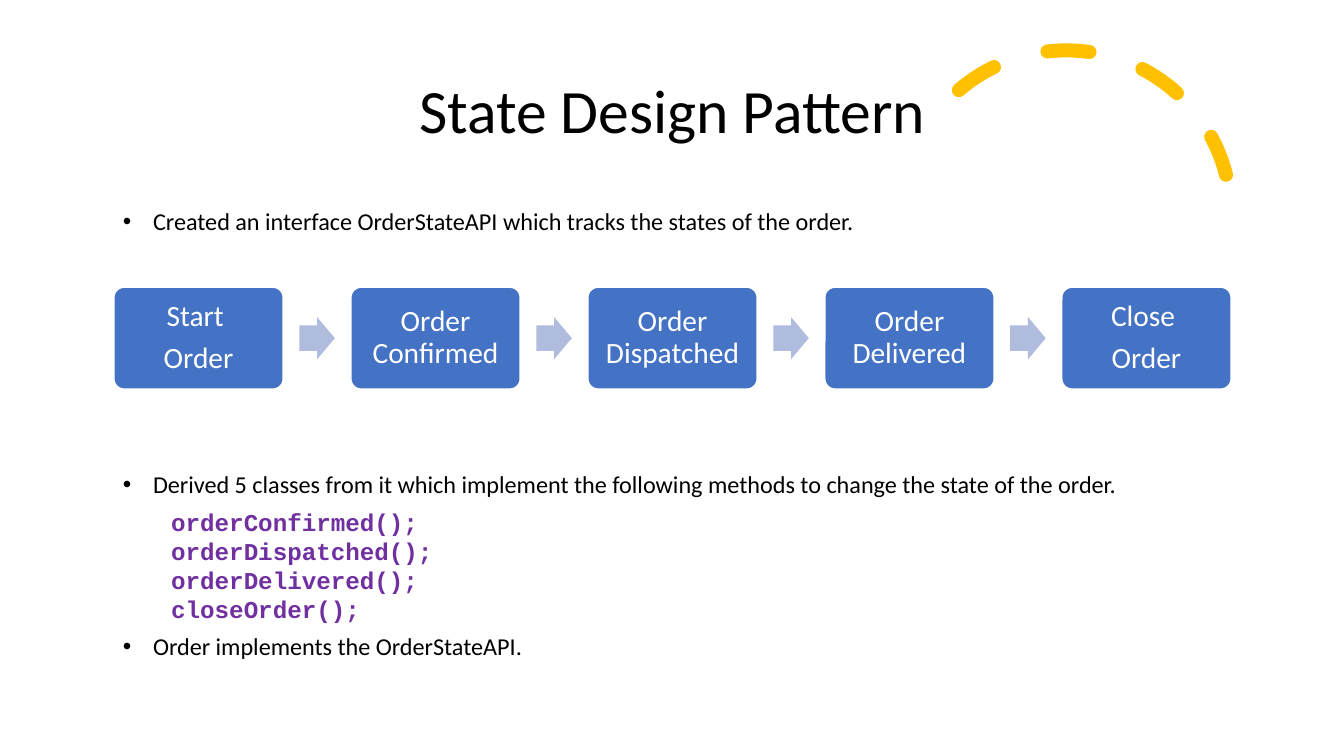
from dataclasses import dataclass

from lxml.etree import SubElement
from pptx import Presentation
from pptx.dml.color import RGBColor
from pptx.enum.dml import MSO_LINE
from pptx.enum.shapes import MSO_SHAPE
from pptx.enum.text import MSO_ANCHOR, MSO_AUTO_SIZE, PP_ALIGN
from pptx.oxml.ns import qn
from pptx.util import Inches, Pt


@dataclass(frozen=True)
class Theme:
    ink: str = "000000"
    pale: str = "FFFFFF"
    card: str = "4472C4"
    arrow: str = "B0BCDE"
    gold: str = "FFC000"
    code: str = "7030A0"
    sans: str = "Calibri"
    mono: str = "Courier New"
    title: float = 44
    step: float = 21
    body: float = 17.3


THEME = Theme()
WIDE, HIGH = Inches(13.33), Inches(7.5)
COL, ROW = WIDE / 100, HIGH / 100  # grid of 100 columns by 100 rows

STEPS = [["Start ", "Order"], ["Order Confirmed"], ["Order Dispatched"],
         ["Order Delivered"], ["Close ", "Order"]]
INTRO = [("Created an interface OrderStateAPI which tracks the states of the order.", False)]
DETAIL = [
    ("Derived 5 classes from it which implement the following methods "
     "to change the state of the order.", False),
    ("orderConfirmed();\vorderDispatched();\vorderDelivered();\vcloseOrder();", True),
    ("Order implements the OrderStateAPI.", False),
]


def grid(left, top, cols, rows):
    return [round(n) for n in (left * COL, top * ROW, cols * COL, rows * ROW)]


def assign(item, **values):
    for name, value in values.items():
        setattr(item, name, value)


def style(para, size, color, face=THEME.sans, bold=False, **values):
    assign(para, **values)
    for run in para.runs:
        assign(run.font, size=Pt(size), name=face, bold=bold)
        run.font.color.rgb = RGBColor.from_string(color)


def add_form(slide, kind, box, fill=None, line=None, width=1, adjust=()):
    form = slide.shapes.add_shape(kind, *map(round, box))
    form.shadow.inherit = False
    for part, color in ((form.fill, fill), (form.line.fill, line)):
        if color:
            part.solid()
            part.fore_color.rgb = RGBColor.from_string(color)
        else:
            part.background()
    if line:
        form.line.width = Pt(width)
    for index, value in enumerate(adjust):
        form.adjustments[index] = value
    return form


# Dashed arc beside the title
def add_arc(slide, box):
    arc = add_form(slide, MSO_SHAPE.ARC, box, line=THEME.gold, width=10,
                   adjust=(146.129, 0))
    arc.rotation = 345.8
    arc.line.dash_style = MSO_LINE.DASH
    arc.line._get_or_add_ln().set("cap", "rnd")


# Centred heading
def add_title(slide, box, text):
    frame = slide.shapes.add_textbox(*box).text_frame
    assign(frame, text=text, word_wrap=True, vertical_anchor=MSO_ANCHOR.MIDDLE)
    style(frame.paragraphs[0], THEME.title, THEME.ink,
          alignment=PP_ALIGN.CENTER, line_spacing=0.9)


# Row of cards joined by arrows; each gap is 0.4 of a card
def add_flow(slide, box, steps):
    left, top, width, height = box
    count = len(steps)
    card = width / (count + 0.4 * (count - 1))
    wide, tall = 0.21 * card, 0.25 * card
    inset = Inches(0.12)
    for index, lines in enumerate(steps):
        start = left + 1.4 * card * index
        form = add_form(slide, MSO_SHAPE.ROUNDED_RECTANGLE, (start, top, card, height),
                        THEME.card, THEME.pale, adjust=(0.1,))
        frame = form.text_frame
        assign(frame, text="\n".join(lines), word_wrap=True,
               vertical_anchor=MSO_ANCHOR.MIDDLE, margin_left=inset,
               margin_right=inset, margin_top=inset, margin_bottom=inset)
        for para in frame.paragraphs:
            style(para, THEME.step, THEME.pale, alignment=PP_ALIGN.CENTER,
                  line_spacing=0.9, space_after=Pt(0.35 * THEME.step))
        if index < count - 1:
            spot = (start + 1.2 * card - wide / 2, top + (height - tall) / 2, wide, tall)
            add_form(slide, MSO_SHAPE.RIGHT_ARROW, spot, THEME.arrow, adjust=(0.6, 0.5))


# Bulleted text with indented code
def add_notes(slide, box, items):
    frame = slide.shapes.add_textbox(*box).text_frame
    assign(frame, text="\n".join("" for _ in items), word_wrap=True,
           auto_size=MSO_AUTO_SIZE.SHAPE_TO_FIT_TEXT)
    for para, (text, code) in zip(frame.paragraphs, items):
        para.text = text
        color, face = (THEME.code, THEME.mono) if code else (THEME.ink, THEME.sans)
        style(para, THEME.body, color, face, code, level=int(code), space_after=Pt(6))
        props = para._p.get_or_add_pPr()
        margin, indent = (0.48, 0) if code else (0.3, -0.3)
        props.set("marL", str(Inches(margin)))
        props.set("indent", str(Inches(indent)))
        if not code:
            SubElement(props, qn("a:buFont")).set("typeface", "Arial")
            SubElement(props, qn("a:buChar")).set("char", "•")


def main():
    deck = Presentation()
    assign(deck, slide_width=WIDE, slide_height=HIGH)
    slide = deck.slides.add_slide(deck.slide_layouts[6])
    add_arc(slide, grid(67.07, 6.67, 24.53, 43.6))
    add_title(slide, grid(6.9, 5.33, 86.27, 19.33), "State Design Pattern")
    add_flow(slide, grid(8.48, 38, 83.12, 13.47), STEPS)
    add_notes(slide, grid(8.4, 26.67, 83.2, 10.4), INTRO)
    add_notes(slide, grid(8.4, 61.47, 77.57, 32), DETAIL)
    deck.save("out.pptx")


if __name__ == "__main__":
    main()
